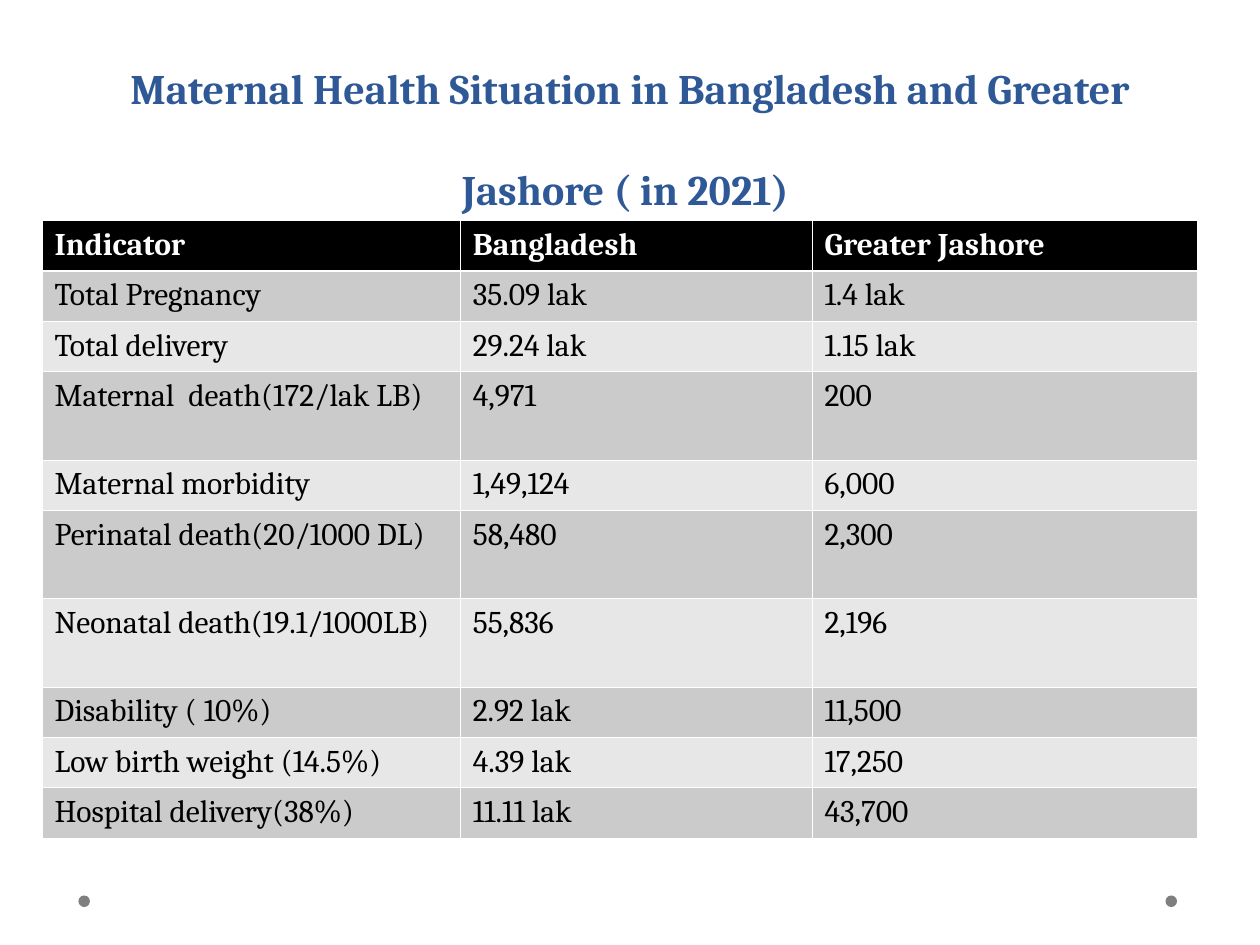
from lxml.etree import SubElement
from pptx import Presentation
from pptx.dml.color import RGBColor
from pptx.enum.shapes import MSO_SHAPE
from pptx.enum.text import MSO_ANCHOR, PP_ALIGN
from pptx.oxml.ns import qn
from pptx.util import Pt

WHITE, BLACK, BLUE, GREY = "FFFFFF", "000000", "2F5897", "7F7F7F"
BANDS = ("CBCBCB", "E7E7E7")
THIN, THICK = 0.45, 1.47
SINGLE_ROW, TALL_ROW = 28.8, 50.4

COLUMN_WIDTHS = (239, 201, 220)
TALL_ROWS = (3, 5, 6)
INDICATORS = (
    ("Indicator", "Bangladesh", "Greater Jashore"),
    ("Total Pregnancy", "35.09 lak", "1.4 lak"),
    ("Total delivery", "29.24 lak", "1.15 lak"),
    ("Maternal  death(172/lak LB)", "4,971", "200"),
    ("Maternal morbidity", "1,49,124", "6,000"),
    ("Perinatal death(20/1000 DL)", "58,480", "2,300"),
    ("Neonatal death(19.1/1000LB)", "55,836", "2,196"),
    ("Disability ( 10%)", "2.92 lak", "11,500"),
    ("Low birth weight (14.5%)", "4.39 lak", "17,250"),
    ("Hospital delivery(38%)", "11.11 lak", "43,700"),
)


def color(value):
    return RGBColor.from_string(value)


class SlideBuilder:
    font_name = "Cambria"

    def __init__(self, slide):
        self.slide = slide

    def add_text(self, paragraph, text, size, text_color, bold=False):
        run = paragraph.add_run()
        run.text = text
        formats = {"name": self.font_name, "size": Pt(size), "bold": bold}
        for name, value in formats.items():
            setattr(run.font, name, value)
        run.font.color.rgb = color(text_color)

    def add_dot(self, left, top, size):
        dot = self.slide.shapes.add_shape(
            MSO_SHAPE.OVAL, Pt(left), Pt(top), Pt(size), Pt(size))
        dot.shadow.inherit = False
        dot.fill.solid()
        dot.fill.fore_color.rgb = color(GREY)
        dot.line.fill.background()

    def add_title(self, text, left, top, width, height):
        box = self.slide.shapes.add_textbox(Pt(left), Pt(top), Pt(width), Pt(height))
        frame = box.text_frame
        frame.word_wrap = True
        frame.vertical_anchor = MSO_ANCHOR.BOTTOM
        paragraph = frame.paragraphs[0]
        paragraph.alignment = PP_ALIGN.CENTER
        paragraph.line_spacing = Pt(58)
        self.add_text(paragraph, text, 24, BLUE, bold=True)

    def add_borders(self, cell, top, bottom):
        properties = cell._tc.get_or_add_tcPr()
        widths = {"a:lnL": THIN, "a:lnR": THIN, "a:lnT": top, "a:lnB": bottom}
        for tag, width in widths.items():
            line = SubElement(properties, qn(tag), w=str(int(Pt(width))))
            fill = SubElement(line, qn("a:solidFill"))
            SubElement(fill, qn("a:srgbClr"), val=WHITE)

    def add_table(self, rows, column_widths, row_heights, left, top):
        table = self.slide.shapes.add_table(
            len(rows), len(column_widths), Pt(left), Pt(top),
            Pt(sum(column_widths)), Pt(sum(row_heights))).table
        for column, width in zip(table.columns, column_widths):
            column.width = Pt(width)
        for index, (row, height) in enumerate(zip(table.rows, row_heights)):
            row.height = Pt(height)
            header = index == 0
            for cell, text in zip(row.cells, rows[index]):
                self.add_borders(cell, top=THICK if index == 1 else THIN,
                                 bottom=THICK if header else THIN)
                cell.fill.solid()
                cell.fill.fore_color.rgb = color(BLACK if header else BANDS[(index - 1) % 2])
                self.add_text(cell.text_frame.paragraphs[0], text, 18,
                              WHITE if header else BLACK, bold=header)


def main():
    presentation = Presentation()
    presentation.slide_width, presentation.slide_height = Pt(720), Pt(540)
    builder = SlideBuilder(presentation.slides.add_slide(presentation.slide_layouts[6]))

    for left in (666, 44.8):
        builder.add_dot(left, 511.7, 6.6)
    builder.add_title("Maternal Health Situation in Bangladesh and Greater Jashore ( in 2021) ",
                      36, 0, 648, 126)
    row_heights = [TALL_ROW if index in TALL_ROWS else SINGLE_ROW
                   for index in range(len(INDICATORS))]
    builder.add_table(INDICATORS, COLUMN_WIDTHS, row_heights, 24, 126)

    presentation.save("out.pptx")


if __name__ == "__main__":
    main()
